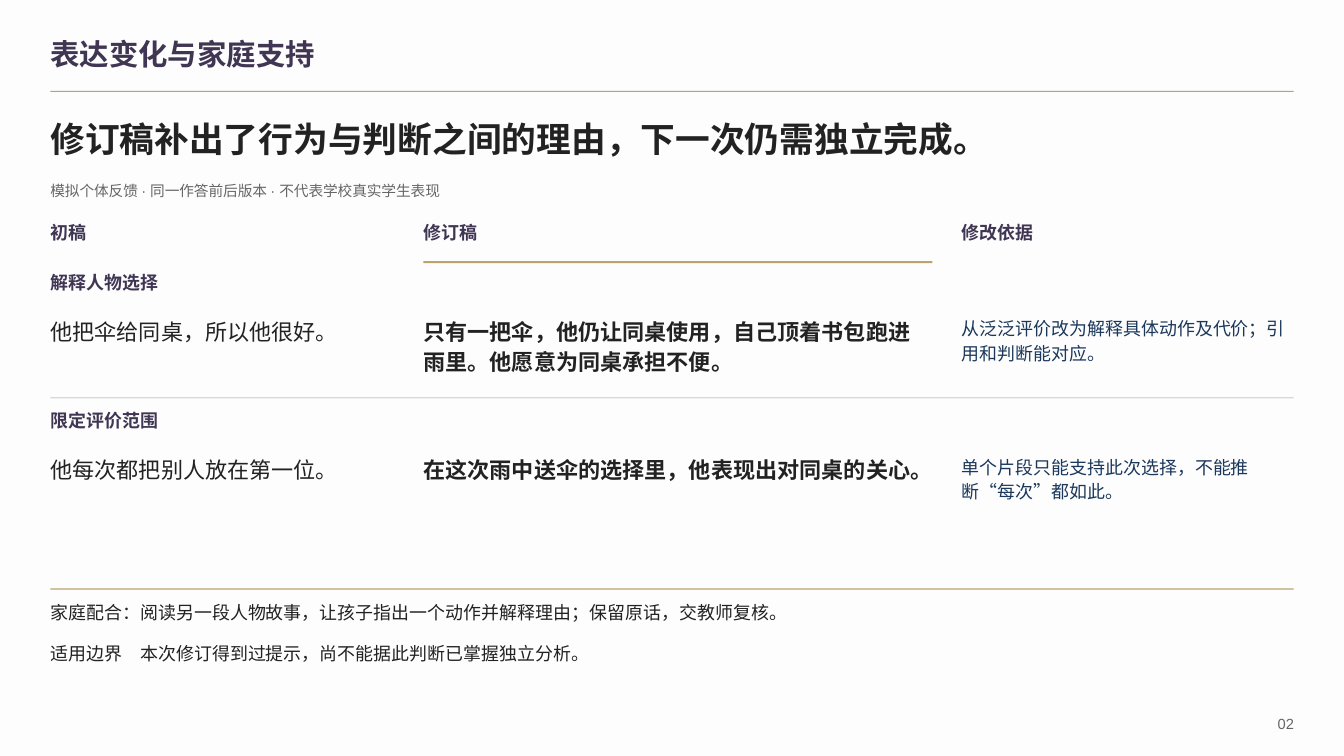
from dataclasses import dataclass

from pptx import Presentation
from pptx.dml.color import RGBColor
from pptx.enum.shapes import MSO_SHAPE
from pptx.enum.text import MSO_ANCHOR, MSO_AUTO_SIZE as AUTO, PP_ALIGN
from pptx.util import Cm, Pt


@dataclass(frozen=True)
class Style:
    size: float
    color: str
    bold: bool = False
    leading: float | None = None


@dataclass(frozen=True)
class Theme:
    font: str = "Arial"
    background: str = "FDFDFE"
    gold: str = "BCA36D"
    grey: str = "D8D8D8"
    title: Style = Style(21, "403653", True)
    headline: Style = Style(24.8, "222222", True, 29.7)
    caption: Style = Style(10.5, "666666", False, 14.2)
    label: Style = Style(12.8, "403653", True, 17.2)
    draft: Style = Style(15.8, "222222", False, 21.3)
    revision: Style = Style(15.8, "222222", True, 21.3)
    reason: Style = Style(12.8, "1B385B", False, 17.2)
    note: Style = Style(12.8, "222222", False, 17.2)
    page: Style = Style(10.5, "666666")


THEME = Theme()
LEFT, WIDTH = 1.27, 31.33
COLUMNS = [(LEFT, 8.66), (10.67, 12.83), (24.23, 8.36)]
LABEL_HEIGHT = 0.84
ROWS_TOP, ROW_PITCH, BODY_OFFSET = 6.78, 3.48, 1.17

HEADINGS = ["初稿", "修订稿", "修改依据"]
COMPARISONS = [
    ("解释人物选择", [
        ("他把伞给同桌，所以他很好。", 0.99),
        ("只有一把伞，他仍让同桌使用，自己顶着书包跑进雨里。他愿意为同桌承担不便。", 1.73),
        ("从泛泛评价改为解释具体动作及代价；引用和判断能对应。", 1.45),
    ]),
    ("限定评价范围", [
        ("他每次都把别人放在第一位。", 0.99),
        ("在这次雨中送伞的选择里，他表现出对同桌的关心。", 0.99),
        ("单个片段只能支持此次选择，不能推断“每次”都如此。", 1.45),
    ]),
]
NOTES = [
    (15.09, "家庭配合：阅读另一段人物故事，让孩子指出一个动作并解释理由；保留原话，交教师复核。"),
    (16.13, "适用边界　本次修订得到过提示，尚不能据此判断已掌握独立分析。"),
]


def add_text(slide, text, style, left, top, width, height,
             anchor=MSO_ANCHOR.TOP, align=PP_ALIGN.LEFT):
    tf = slide.shapes.add_textbox(Cm(left), Cm(top), Cm(width), Cm(height)).text_frame
    tf.margin_left = tf.margin_right = tf.margin_top = tf.margin_bottom = 0
    tf.word_wrap = True
    tf.auto_size = AUTO.SHAPE_TO_FIT_TEXT
    tf.vertical_anchor = anchor
    p = tf.paragraphs[0]
    p.alignment = align
    if style.leading:
        p.line_spacing = Pt(style.leading)
    r = p.add_run()
    r.text = text
    r.font.name = THEME.font
    r.font.size = Pt(style.size)
    r.font.bold = style.bold
    r.font.color.rgb = RGBColor.from_string(style.color)


def add_rule(slide, color, top, left=LEFT, width=WIDTH, thickness=0.03):
    sp = slide.shapes.add_shape(MSO_SHAPE.RECTANGLE, Cm(left), Cm(top), Cm(width), Cm(thickness))
    sp.shadow.inherit = False
    sp.fill.solid()
    sp.fill.fore_color.rgb = RGBColor.from_string(color)
    sp.line.fill.background()


def add_header(slide):
    add_rule(slide, THEME.gold, 2.29)
    add_text(slide, "表达变化与家庭支持", THEME.title, LEFT, 0.79, 26.72, 1.14, MSO_ANCHOR.MIDDLE)
    add_text(slide, "修订稿补出了行为与判断之间的理由，下一次仍需独立完成。",
             THEME.headline, LEFT, 2.97, WIDTH, 1.3)
    add_text(slide, "模拟个体反馈 · 同一作答前后版本 · 不代表学校真实学生表现",
             THEME.caption, LEFT, 4.52, WIDTH, 0.74)


def add_comparisons(slide):
    for heading, (left, width) in zip(HEADINGS, COLUMNS):
        add_text(slide, heading, THEME.label, left, 5.51, width, LABEL_HEIGHT)
    add_rule(slide, THEME.gold, 6.58, *COLUMNS[1], thickness=0.05)
    styles = [THEME.draft, THEME.revision, THEME.reason]
    for i, (label, cells) in enumerate(COMPARISONS):
        top = ROWS_TOP + i * ROW_PITCH
        if i:
            add_rule(slide, THEME.grey, top - 0.25)
        add_text(slide, label, THEME.label, LEFT, top, WIDTH, LABEL_HEIGHT)
        for (text, height), style, (left, width) in zip(cells, styles, COLUMNS):
            add_text(slide, text, style, left, top + BODY_OFFSET, width, height)


def add_footer(slide):
    add_rule(slide, THEME.gold, 14.83)
    for top, text in NOTES:
        add_text(slide, text, THEME.note, LEFT, top, WIDTH, LABEL_HEIGHT)
    add_text(slide, "02", THEME.page, 31.5, 17.91, 1.11, 0.64, MSO_ANCHOR.MIDDLE, PP_ALIGN.RIGHT)


def main():
    prs = Presentation()
    prs.slide_width, prs.slide_height = Cm(33.87), Cm(19.05)
    slide = prs.slides.add_slide(prs.slide_layouts[6])
    slide.background.fill.solid()
    slide.background.fill.fore_color.rgb = RGBColor.from_string(THEME.background)
    add_header(slide)
    add_comparisons(slide)
    add_footer(slide)
    prs.save("out.pptx")


if __name__ == "__main__":
    main()
